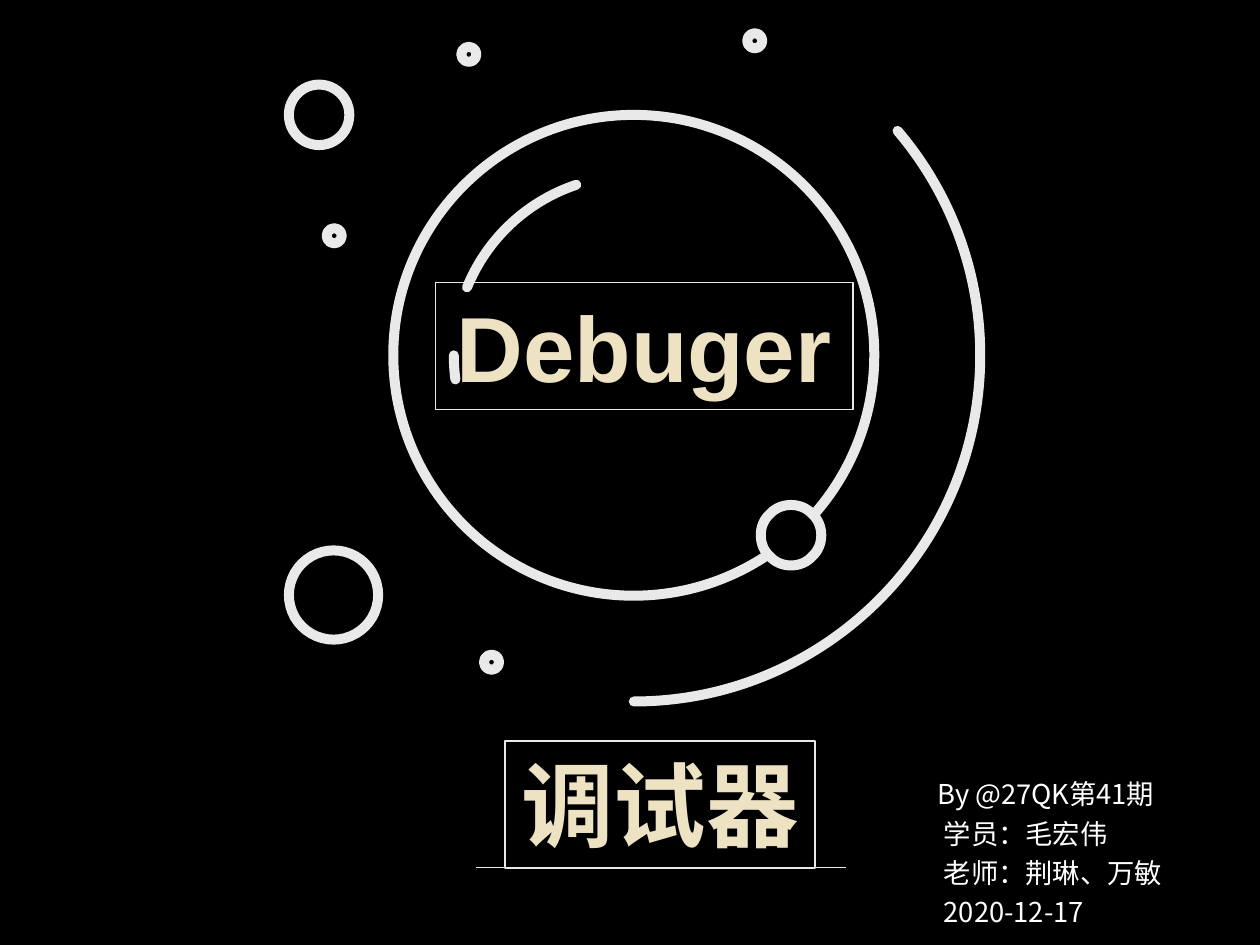
from math import ceil, cos, floor, radians, sin, tan

from lxml import etree
from pptx import Presentation
from pptx.dml.color import RGBColor
from pptx.enum import shapes, text
from pptx.oxml import ns
from pptx.util import Inches, Pt

BLACK = RGBColor(0x00, 0x00, 0x00)
WHITE = RGBColor(0xFF, 0xFF, 0xFF)
CHALK = RGBColor(0xE9, 0xE9, 0xE9)
CREAM = RGBColor(0xED, 0xE3, 0xC3)
GOLD = RGBColor(0xD3, 0xBA, 0x68)
CJK_FONT = "Noto Sans CJK SC"
STROKE = 4.75


def set_cjk_font(r):
    ea = etree.SubElement(r._r.get_or_add_rPr(), ns.qn("a:ea"))
    ea.set("typeface", CJK_FONT)


def outline_only(sp, width):
    sp.shadow.inherit = False
    sp.fill.background()
    sp.line.color.rgb = CHALK
    sp.line.width = Pt(width)


def add_ring(slide, left, top, size):
    sp = slide.shapes.add_shape(shapes.MSO_SHAPE.OVAL, Inches(left), Inches(top),
                                Inches(size), Inches(size))
    outline_only(sp, STROKE)


def add_curve(slide, points, close=False):
    """Draw Bezier curves: a start, then two control points and an end for each."""
    points = [(Inches(x), Inches(y)) for x, y in points]
    builder = slide.shapes.build_freeform(*points[0])
    builder.add_line_segments(points[1:], close=close)
    sp = builder.convert_to_shape()
    outline_only(sp, STROKE)
    # Join each three straight segments into one curve
    segments = list(sp._element.iter(ns.qn("a:lnTo")))
    for i in range(0, len(segments), 3):
        curve = etree.Element(ns.qn("a:cubicBezTo"))
        segments[i].addprevious(curve)
        for segment in segments[i:i + 3]:
            curve.append(segment[0])
            segment.getparent().remove(segment)
    return sp


def add_arc(slide, cx, cy, radius, start, end, cap):
    """Draw an arc, split at the quadrants; angles run clockwise from the right."""
    quadrants = range(floor(start / 90) + 1, ceil(end / 90))
    stops = [start] + [90 * q for q in quadrants] + [end]

    def place(angle, pull):
        a = radians(angle)
        return (cx + radius * (cos(a) - pull * sin(a)),
                cy + radius * (sin(a) + pull * cos(a)))

    points = [place(start, 0)]
    for a, b in zip(stops, stops[1:]):
        pull = 4 / 3 * tan(radians(b - a) / 4)
        points += [place(a, pull), place(b, -pull), place(b, 0)]
    add_curve(slide, points).line._get_or_add_ln().set("cap", cap)


def add_satellite(slide, cx, cy):
    """Draw the slightly squared ring that sits on the main circle."""
    points = [(cx + 0.14, cy + 0.14)]
    side = [(0.07, 0.22), (-0.07, 0.22), (-0.14, 0.14)]
    for _ in range(4):
        points += [(cx + x, cy + y) for x, y in side]
        side = [(-y, x) for x, y in side]
    add_curve(slide, points, close=True)


def add_orbits(slide, cx, cy):
    # Free rings: offset of the top left corner from the centre, and size
    for dx, dy, size in [(-2.28, -1.79, 0.4), (-2.28, 1.29, 0.59), (-1.14, -2.04, 0.1),
                         (0.75, -2.13, 0.1), (-2.03, -0.84, 0.1), (-0.99, 1.98, 0.1)]:
        add_ring(slide, cx + dx, cy + dy, size)
    add_satellite(slide, cx + 1.04, cy + 1.19)
    # Outer orbit, two inner glints, main circle
    for radius, start, end, cap in [(2.29, -40.4, 90, "rnd"), (1.19, 172.3, 180, "rnd"),
                                    (1.19, 202.2, 251.4, "rnd"),
                                    (1.59, 55.5, 401.4, "flat")]:
        add_arc(slide, cx, cy, radius, start, end, cap)


def add_title(slide, title, left, top, width, height):
    sp = slide.shapes.add_shape(shapes.MSO_SHAPE.RECTANGLE, Inches(left), Inches(top),
                                Inches(width), Inches(height))
    outline_only(sp, 0.75)
    tf = sp.text_frame
    tf.word_wrap = False
    tf.auto_size = text.MSO_AUTO_SIZE.SHAPE_TO_FIT_TEXT
    tf.vertical_anchor = text.MSO_ANCHOR.TOP
    tf.text = title
    p = tf.paragraphs[0]
    p.alignment = text.PP_ALIGN.CENTER
    r = p.runs[0]
    r.font.size, r.font.bold, r.font.name = Pt(44), True, "Arial"
    r.font.color.rgb = CREAM
    set_cjk_font(r)
    # Gold edge around the letters
    ln = etree.Element(ns.qn("a:ln"), w=str(Pt(1.75)))
    fill = etree.SubElement(ln, ns.qn("a:solidFill"))
    etree.SubElement(fill, ns.qn("a:srgbClr"), val=str(GOLD))
    r._r.get_or_add_rPr().insert(0, ln)


def add_underline(slide, left, right, y):
    line = slide.shapes.add_connector(shapes.MSO_CONNECTOR.STRAIGHT, Inches(left),
                                      Inches(y), Inches(right), Inches(y))
    line.line.color.rgb = CHALK
    line.line.width = Pt(0.5)
    etree.SubElement(line._element.spPr, ns.qn("a:effectLst"))


def add_credits(slide, lines, left, top, width, height):
    sp = slide.shapes.add_textbox(Inches(left), Inches(top), Inches(width), Inches(height))
    tf = sp.text_frame
    tf.word_wrap = True
    tf.margin_left, tf.margin_top = Inches(0.37), Inches(0.32)
    tf.text = "\n".join(lines)
    for i, p in enumerate(tf.paragraphs):
        p.line_spacing = 1.2
        if i:
            p._p.get_or_add_pPr().set("marL", str(Inches(0.04)))
        r = p.runs[0]
        r.font.size, r.font.name = Pt(13), CJK_FONT
        r.font.color.rgb = WHITE
        set_cjk_font(r)


def build_cover(prs):
    slide = prs.slides.add_slide(prs.slide_layouts[6])
    slide.background.fill.solid()
    slide.background.fill.fore_color.rgb = BLACK
    add_credits(slide, ["By @27QK第41期", "学员：毛宏伟", "老师：荆琳、万敏", "2020-12-17"],
                5.83, 4.78, 2.36, 1.47)
    add_title(slide, "Debuger", 2.88, 1.87, 2.76, 0.84)
    add_orbits(slide, 4.19, 2.35)
    add_underline(slide, 3.15, 5.59, 5.74)
    add_title(slide, "调试器", 3.34, 4.9, 2.05, 0.84)


def main():
    prs = Presentation()
    prs.slide_width, prs.slide_height = Inches(8.33), Inches(6.25)
    build_cover(prs)
    prs.save("out.pptx")


if __name__ == "__main__":
    main()
